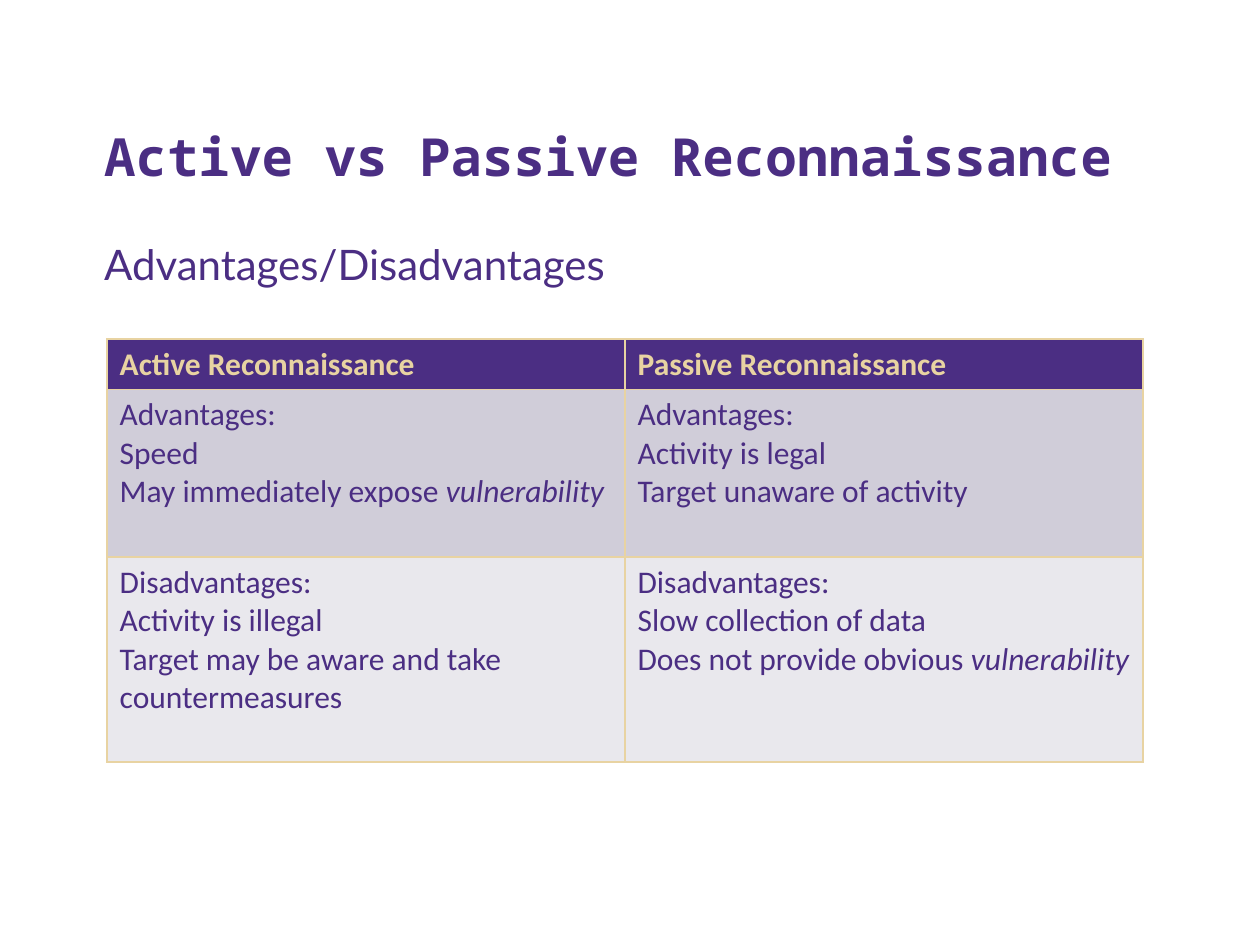
from lxml.etree import SubElement
from pptx import Presentation
from pptx.dml.color import RGBColor
from pptx.enum.text import MSO_ANCHOR
from pptx.oxml.ns import qn
from pptx.util import Cm, Pt

PURPLE = RGBColor(0x4B, 0x2E, 0x83)
GOLD = RGBColor(0xE8, 0xD3, 0xA2)
LILAC = RGBColor(0xD0, 0xCD, 0xD9)
PALE = RGBColor(0xE9, 0xE8, 0xED)

TITLE = "Active vs Passive Reconnaissance"
SUBTITLE = "Advantages/Disadvantages"
VULNERABILITY = ("vulnerability", True)

ROWS = [
    {"height": 1.02, "fill": PURPLE, "color": GOLD, "bold": True, "cells": [
        [[("Active Reconnaissance", False)]],
        [[("Passive Reconnaissance", False)]],
    ]},
    {"height": 3.38, "fill": LILAC, "color": PURPLE, "bold": False, "cells": [
        [[("Advantages:", False)],
         [("Speed", False)],
         [("May immediately expose ", False), VULNERABILITY]],
        [[("Advantages:", False)],
         [("Activity is legal", False)],
         [("Target unaware of activity", False)]],
    ]},
    {"height": 4.13, "fill": PALE, "color": PURPLE, "bold": False, "cells": [
        [[("Disadvantages:", False)],
         [("Activity is illegal", False)],
         [("Target may be aware and take countermeasures", False)]],
        [[("Disadvantages:", False)],
         [("Slow collection of data", False)],
         [("Does not provide obvious ", False), VULNERABILITY]],
    ]},
]


def add_run(paragraph, text, font_name, size, color, bold=False, italic=False):
    run = paragraph.add_run()
    run.text = text
    run.font.name = font_name
    run.font.size = Pt(size)
    run.font.color.rgb = color
    run.font.bold = bold
    run.font.italic = italic


def add_heading(slide, text, top, height, font_name, size, bold):
    shape = slide.shapes.add_textbox(Cm(1.85), Cm(top), Cm(22.73), Cm(height))
    shape.text_frame.word_wrap = True
    add_run(shape.text_frame.paragraphs[0], text, font_name, size, PURPLE, bold)
    return shape.text_frame


def add_borders(cell, color):
    properties = cell._tc.get_or_add_tcPr()
    for index, side in enumerate(("lnL", "lnR", "lnT", "lnB")):
        line = SubElement(properties, qn(f"a:{side}"), w=str(Pt(1)))
        fill = SubElement(line, qn("a:solidFill"))
        SubElement(fill, qn("a:srgbClr"), val=str(color))
        properties.insert(index, line)


presentation = Presentation()
presentation.slide_width = Cm(25.4)
presentation.slide_height = Cm(19.05)
slide = presentation.slides.add_slide(presentation.slide_layouts[6])

title = add_heading(slide, TITLE, 1.04, 2.74, "Noto Sans Mono", 30, True)
title.vertical_anchor = MSO_ANCHOR.BOTTOM
title.margin_bottom = Cm(0)
subtitle = add_heading(slide, SUBTITLE, 4.8, 1.14, "Lato", 24, False)
subtitle.paragraphs[0].line_spacing = 0.9

table_height = sum(row["height"] for row in ROWS)
table = slide.shapes.add_table(
    len(ROWS), 2, Cm(2.16), Cm(6.83), Cm(20.88), Cm(table_height)).table
for row_index, row in enumerate(ROWS):
    table.rows[row_index].height = Cm(row["height"])
    for column_index, lines in enumerate(row["cells"]):
        cell = table.cell(row_index, column_index)
        cell.fill.solid()
        cell.fill.fore_color.rgb = row["fill"]
        add_borders(cell, GOLD)
        for line_index, runs in enumerate(lines):
            frame = cell.text_frame
            paragraph = frame.add_paragraph() if line_index else frame.paragraphs[0]
            for text, italic in runs:
                add_run(paragraph, text, "Calibri", 18, row["color"], row["bold"], italic)

presentation.save("out.pptx")
